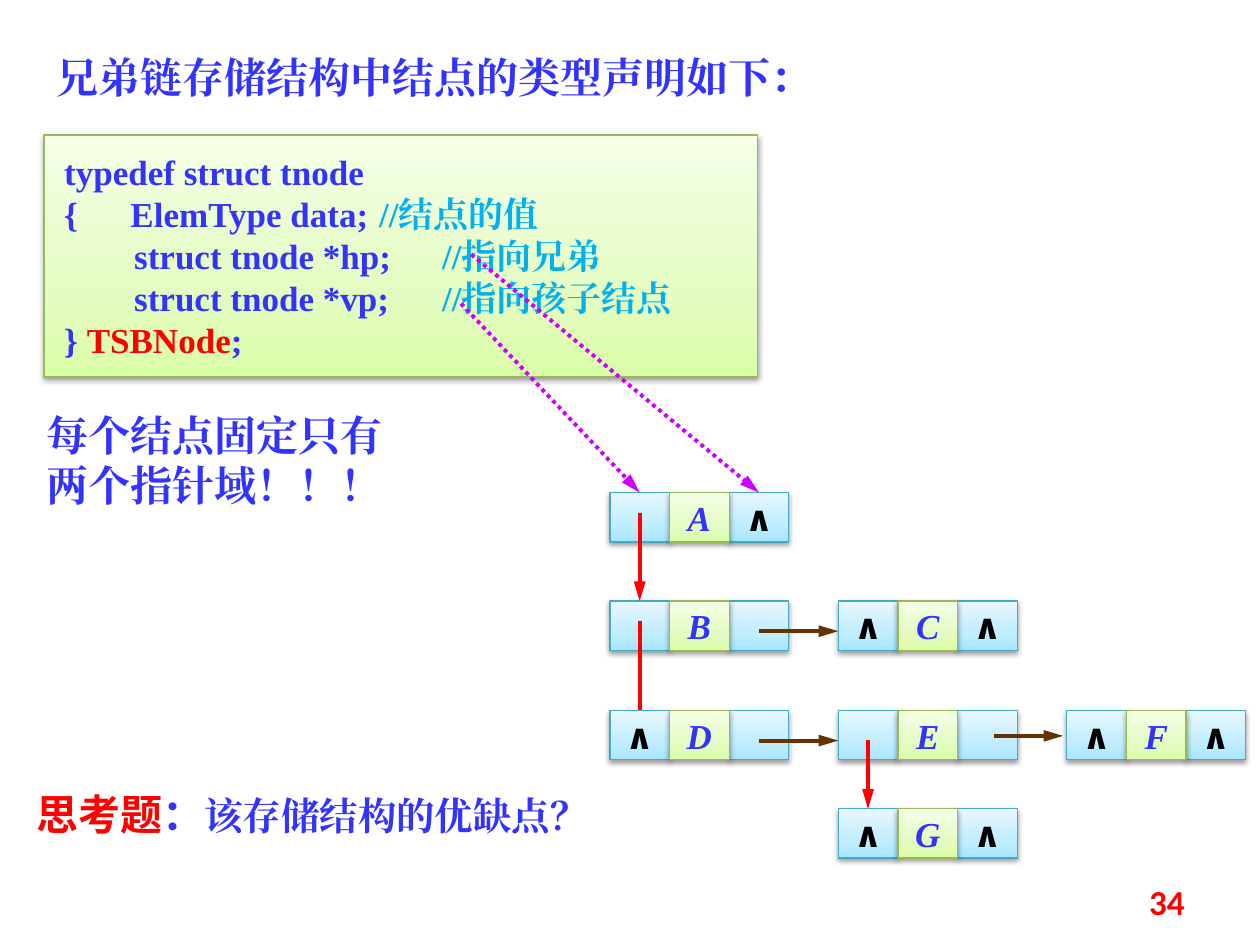
from copy import deepcopy

from lxml import etree
from pptx import Presentation
from pptx.dml.color import RGBColor
from pptx.enum.dml import MSO_LINE
from pptx.enum.shapes import MSO_CONNECTOR, MSO_SHAPE
from pptx.enum.text import MSO_ANCHOR, PP_ALIGN
from pptx.oxml.ns import qn
from pptx.util import Pt

RECT = MSO_SHAPE.RECTANGLE
LINE = MSO_CONNECTOR.STRAIGHT
DOTS = MSO_LINE.ROUND_DOT
TOP, MIDDLE = MSO_ANCHOR.TOP, MSO_ANCHOR.MIDDLE
LEFT, CENTER, RIGHT = PP_ALIGN.LEFT, PP_ALIGN.CENTER, PP_ALIGN.RIGHT

TIMES, CALIBRI, NOTO = "Times New Roman", "Calibri", "Noto Sans CJK SC"
BLUE, RED, CYAN, BLACK = "3333FF", "FF0000", "00B0F0", "000000"
BROWN, PURPLE = "663300", "CC00FF"
# Gradient stops from bottom to top, then the outline colour
GREEN = ("DAFDA7", "E4FCC2", "F5FFE7", "98B955")
SKY = ("A7E6FF", "C1EDFF", "E7F8FF", "46AAC5")
STOPS = (0, 0.35, 1)

CELL_W, CELL_H = 34.1, 28.2
COLS = (348.5, 479, 609.6)
ROWS = (281.5, 343.5, 406, 462.2)
NIL = "∧"
# Column, row, child field, name, sibling field
NODES = (
    (0, 0, "", "A", NIL),
    (0, 1, "", "B", ""),
    (1, 1, NIL, "C", NIL),
    (0, 2, NIL, "D", ""),
    (1, 2, "", "E", ""),
    (2, 2, NIL, "F", NIL),
    (1, 3, NIL, "G", NIL),
)
CODE = (
    (("typedef struct tnode", BLUE),),
    (("{      ElemType data;\t", BLUE), ("//结点的值", CYAN)),
    (("        struct tnode *hp;  \t", BLUE), ("//指向兄弟", CYAN)),
    (("        struct tnode *vp;  \t", BLUE), ("//指向孩子结点", CYAN)),
    (("} ", BLUE), ("TSBNode", RED), (";", BLUE)),
)


def color(code):
    return RGBColor.from_string(code)


def add_run(para, text, tint, size, face=TIMES, bold=True, italic=False):
    """Add a run whose Latin and East Asian text share one font."""
    run = para.add_run()
    run.text = text
    font = run.font
    font.name, font.size = face, Pt(size)
    font.bold, font.italic = bold, italic
    font.color.rgb = color(tint)
    east = etree.SubElement(run._r.get_or_add_rPr(), qn("a:ea"))
    east.set("typeface", face)


def set_frame(shape, anchor=TOP, wrap=True, pad=(7.2, 3.6)):
    frame = shape.text_frame
    frame.word_wrap = wrap
    frame.vertical_anchor = anchor
    frame.margin_left = frame.margin_right = Pt(pad[0])
    frame.margin_top = frame.margin_bottom = Pt(pad[1])
    return frame


def add_text(slide, x, y, w, h, anchor=TOP):
    """Add a text box and return its first paragraph."""
    box = slide.shapes.add_textbox(Pt(x), Pt(y), Pt(w), Pt(h))
    return set_frame(box, anchor).paragraphs[0]


def add_panel(slide, x, y, w, h, theme):
    """Add a rectangle with a three-stop gradient and a soft shadow."""
    panel = slide.shapes.add_shape(RECT, Pt(x), Pt(y), Pt(w), Pt(h))
    fill = panel.fill
    fill.gradient()
    fill.gradient_angle = 90
    stops = panel._element.spPr.find(".//" + qn("a:gsLst"))
    stops.insert(1, deepcopy(stops[0]))
    for stop, place, tint in zip(fill.gradient_stops, STOPS, theme):
        stop.position = place
        stop.color.rgb = color(tint)
    panel.line.color.rgb = color(theme[-1])
    panel.line.width = Pt(0.75)
    panel.shadow.inherit = False
    effects = panel._element.spPr.find(qn("a:effectLst"))
    shade = etree.SubElement(effects, qn("a:outerShdw"), blurRad=str(Pt(3.1)),
                             dist=str(Pt(1.6)), dir="5400000", rotWithShape="0")
    black = etree.SubElement(shade, qn("a:srgbClr"), val=BLACK)
    etree.SubElement(black, qn("a:alpha"), val="38000")
    return panel


def add_code(slide):
    panel = add_panel(slide, 25.2, 77.2, 407.8, 138.2, GREEN)
    frame = set_frame(panel, pad=(11.5, 8.6))
    for i, parts in enumerate(CODE):
        para = frame.add_paragraph() if i else frame.paragraphs[0]
        para.alignment = LEFT
        para.line_spacing = Pt(24)
        for text, tint in parts:
            add_run(para, text, tint, 20)


def add_node(slide, col, row, child, name, sibling):
    fields = ((0, child, SKY), (2, sibling, SKY), (1, name, GREEN))
    for slot, text, theme in fields:
        cell = add_panel(slide, COLS[col] + slot * CELL_W, ROWS[row],
                         CELL_W, CELL_H, theme)
        if not text:
            continue
        para = set_frame(cell, MIDDLE, False).paragraphs[0]
        para.alignment = CENTER
        if text == NIL:
            add_run(para, text, BLACK, 20, CALIBRI)
        else:
            add_run(para, text, BLUE, 20, italic=True)


def add_link(slide, start, end, tint, head=True, dash=None):
    ends = [Pt(v) for v in (*start, *end)]
    link = slide.shapes.add_connector(LINE, *ends)
    link.line.color.rgb = color(tint)
    link.line.width = Pt(2.25)
    if dash:
        link.line.dash_style = dash
    if head:
        etree.SubElement(link.line._get_or_add_ln(), qn("a:tailEnd"),
                         type="triangle", w="med", len="lg")
    etree.SubElement(link._element.spPr, qn("a:effectLst"))


def add_links(slide):
    down, side = COLS[0] + CELL_W / 2, COLS[0] + 2.5 * CELL_W
    below = COLS[1] + CELL_W / 2
    add_link(slide, (down, 293), (down, ROWS[1]), RED)
    add_link(slide, (down, 355), (down, ROWS[2]), RED, head=False)
    add_link(slide, (below, 422.6), (below, ROWS[3]), RED)
    for row in (1, 2):
        y = ROWS[row] + 17.2
        add_link(slide, (side, y), (COLS[1], y), BROWN)
    add_link(slide, (568, 420.5), (607.5, 420.5), BROWN)
    add_link(slide, (263.5, 173.5), (down, ROWS[0]), PURPLE, dash=DOTS)
    add_link(slide, (269.3, 145.4), (side, ROWS[0]), PURPLE, dash=DOTS)


def set_title(slide, text):
    title = slide.shapes.title
    title.left, title.top = Pt(25.2), Pt(26)
    title.width, title.height = Pt(465), Pt(36)
    para = set_frame(title).paragraphs[0]
    para.alignment = LEFT
    para.line_spacing = Pt(28.8)
    add_run(para, text, BLUE, 24)


def main():
    deck = Presentation()
    deck.slide_width, deck.slide_height = Pt(720), Pt(540)
    slide = deck.slides.add_slide(deck.slide_layouts[5])
    set_title(slide, "兄弟链存储结构中结点的类型声明如下：")
    add_code(slide)

    task = add_text(slide, 13.7, 447, 368.6, 36)
    task.line_spacing = Pt(28.8)
    add_run(task, "思考题", RED, 24, NOTO)
    add_run(task, "：", BLUE, 24, NOTO)
    add_run(task, "该存储结构的优缺点？", BLUE, 22)

    note = add_text(slide, 19.4, 230.4, 215.3, 65.5)
    note.line_spacing = Pt(28.8)
    add_run(note, "每个结点固定只有两个指针域！！！", BLUE, 24)

    for node in NODES:
        add_node(slide, *node)
    add_links(slide)

    number = add_text(slide, 516, 500.5, 168, 28.8, MIDDLE)
    number.alignment = RIGHT
    add_run(number, "34", RED, 20, CALIBRI)
    deck.save("out.pptx")


if __name__ == "__main__":
    main()
